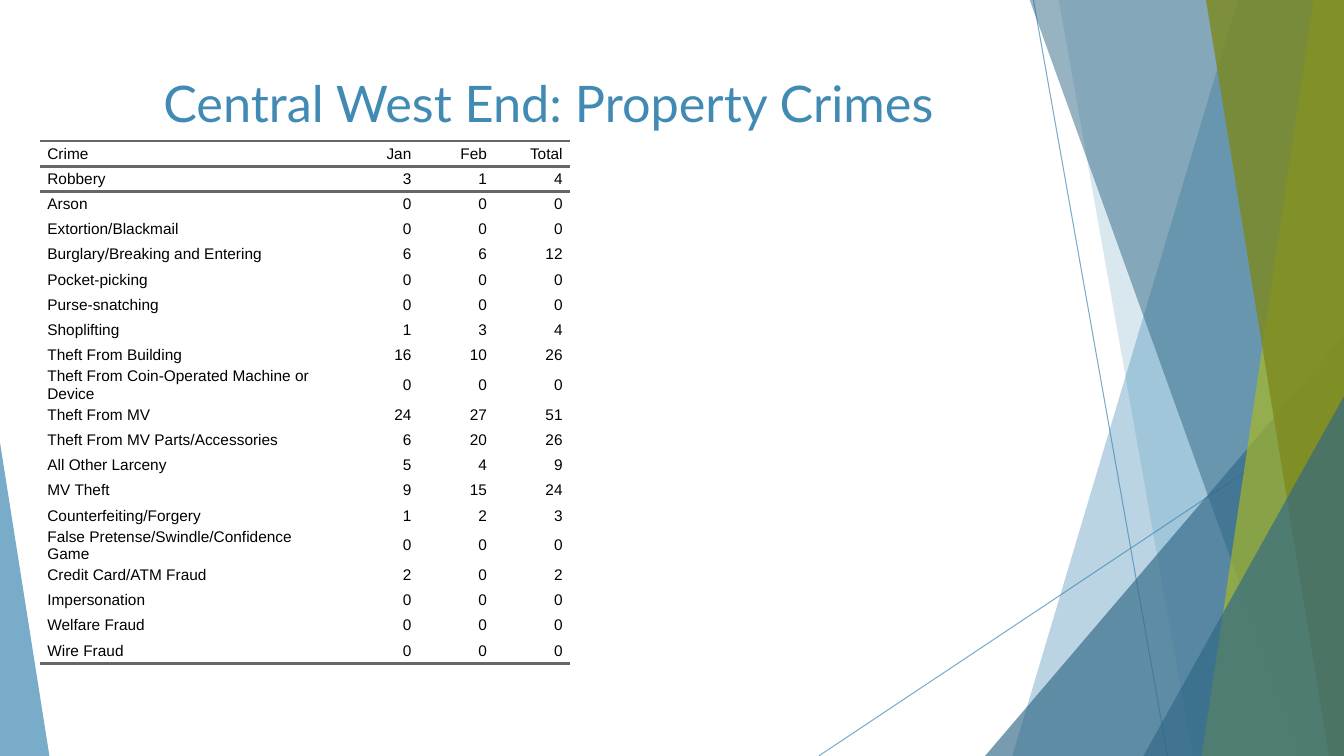
from lxml.etree import SubElement as Sub
from pptx import Presentation
from pptx.dml.color import RGBColor
from pptx.enum.shapes import MSO_CONNECTOR as Link, MSO_SHAPE as Kind
from pptx.enum.text import MSO_ANCHOR as Anchor, PP_ALIGN as Align
from pptx.oxml.ns import qn
from pptx.util import Inches, Pt

BLUE = RGBColor(0x41, 0x8A, 0xB3)
NAVY = RGBColor(0x31, 0x68, 0x86)
LIME = RGBColor(0xA6, 0xB7, 0x27)
OLIVE = RGBColor(0x7D, 0x89, 0x1D)
GRAY = RGBColor(0x66, 0x66, 0x66)
BLACK = RGBColor(0, 0, 0)

WIDE, HIGH = 13.33, 7.5
PLAIN = "{2D5ABB26-0587-4C30-8999-92F81FD0307C}"  # table style: no fill, no grid

CRIMES = [
    ("Robbery", 3, 1, 4),
    ("Arson", 0, 0, 0),
    ("Extortion/Blackmail", 0, 0, 0),
    ("Burglary/Breaking and Entering", 6, 6, 12),
    ("Pocket-picking", 0, 0, 0),
    ("Purse-snatching", 0, 0, 0),
    ("Shoplifting", 1, 3, 4),
    ("Theft From Building", 16, 10, 26),
    ("Theft From Coin-Operated Machine or Device", 0, 0, 0),
    ("Theft From MV", 24, 27, 51),
    ("Theft From MV Parts/Accessories", 6, 20, 26),
    ("All Other Larceny", 5, 4, 9),
    ("MV Theft", 9, 15, 24),
    ("Counterfeiting/Forgery", 1, 2, 3),
    ("False Pretense/Swindle/Confidence Game", 0, 0, 0),
    ("Credit Card/ATM Fraud", 2, 0, 2),
    ("Impersonation", 0, 0, 0),
    ("Welfare Fraud", 0, 0, 0),
    ("Wire Fraud", 0, 0, 0),
]


class Deck:
    """Holds the style and the current slide."""

    head, body = "Lato", "Arial"

    def __init__(self, show):
        """Add a slide with a title placeholder."""
        self.slide = show.slides.add_slide(show.slide_layouts[5])
        self.shapes = self.slide.shapes

    def fade(self, item, alpha):
        """Make the colour of a shape or line see-through."""
        for color in item.element.spPr.iter(qn("a:srgbClr")):
            Sub(color, qn("a:alpha")).set("val", str(alpha * 1000))

    def paint(self, shape, color, alpha):
        """Give a shape a see-through fill and no outline."""
        shape.shadow.inherit = False
        shape.fill.solid()
        shape.fill.fore_color.rgb = color
        shape.line.fill.background()
        self.fade(shape, alpha)

    def line(self, x1, y1, x2, y2):
        """Draw a thin blue line."""
        line = self.shapes.add_connector(
            Link.STRAIGHT, Inches(x1), Inches(y1), Inches(x2), Inches(y2))
        line.line.color.rgb = BLUE
        line.line.width = Pt(0.75)
        self.fade(line, 70)
        Sub(line.element.spPr, qn("a:effectLst"))

    def band(self, top, base, color, alpha):
        """Fill the slide from a slanted left edge to the right side."""
        pen = self.shapes.build_freeform(Inches(top), Inches(-0.01))
        ends = [(WIDE, -0.01), (WIDE, HIGH), (base, HIGH)]
        pen.add_line_segments([(Inches(x), Inches(y)) for x, y in ends])
        self.paint(pen.convert_to_shape(), color, alpha)

    def wedge(self, x, y, width, peak, color, alpha):
        """Draw a triangle that stands on the bottom edge."""
        shape = self.shapes.add_shape(
            Kind.ISOSCELES_TRIANGLE, Inches(x), Inches(y),
            Inches(width), Inches(HIGH - y))
        shape.adjustments[0] = peak
        self.paint(shape, color, alpha)

    def label(self, para, text, font, size, color, align):
        """Add one run of text to a paragraph."""
        para.alignment = align
        run = para.add_run()
        run.text = text
        run.font.name, run.font.size = font, Pt(size)
        run.font.color.rgb = color

    def title(self, text, x, y, width, height):
        """Place and fill the title, in front of the rest."""
        box = self.shapes.title
        box.left, box.top = Inches(x), Inches(y)
        box.width, box.height = Inches(width), Inches(height)
        frame = box.text_frame
        frame.word_wrap = True
        frame.vertical_anchor = Anchor.TOP
        self.label(frame.paragraphs[0], text, self.head, 36, BLUE, Align.CENTER)
        box.element.getparent().append(box.element)

    def rule(self, cell, side):
        """Draw a border on one side of a cell."""
        edge = Sub(cell._tc.get_or_add_tcPr(), qn("a:ln" + side))
        edge.set("w", str(Pt(2)))
        fill = Sub(edge, qn("a:solidFill"))
        Sub(fill, qn("a:srgbClr")).set("val", str(GRAY))

    def table(self, rows, x, y, widths, high):
        """Add a plain table, ruled around its header and at its foot."""
        frame = self.shapes.add_table(
            len(rows), len(widths), Inches(x), Inches(y),
            Inches(sum(widths)), Inches(high * len(rows)))
        table = frame.table
        table.first_row = table.horz_banding = False
        table._tbl.tblPr.find(qn("a:tableStyleId")).text = PLAIN
        for col, width in zip(table.columns, widths):
            col.width = Inches(width)
        sides = {0: "TB", 1: "T", len(rows) - 1: "B"}
        for r, row in enumerate(rows):
            table.rows[r].height = Inches(high)
            for c, value in enumerate(row):
                cell = table.cell(r, c)
                for side in sides.get(r, ""):
                    self.rule(cell, side)
                cell.fill.background()
                cell.vertical_anchor = Anchor.MIDDLE
                cell.margin_left = cell.margin_right = Inches(0.07)
                cell.margin_top = cell.margin_bottom = 0
                self.label(cell.text_frame.paragraphs[0], str(value), self.body,
                           11, BLACK, Align.RIGHT if c else Align.LEFT)


show = Presentation()
show.slide_width, show.slide_height = Inches(WIDE), Inches(HIGH)
deck = Deck(show)

deck.line(10.25, 0, 11.58, HIGH)
deck.line(WIDE, 4.03, 8.12, HIGH)
deck.band(12.28, 10.04, BLUE, 36)
deck.band(10.5, 11.83, BLUE, 20)
deck.wedge(9.77, 3.33, 3.56, 1, NAVY, 66)
deck.band(10.21, 12.91, NAVY, 50)
deck.band(13.03, 11.92, LIME, 70)
deck.band(11.96, 13.18, OLIVE, 80)
deck.wedge(11.34, 3.93, 1.99, 1, NAVY, 66)
deck.wedge(0, 4.39, 0.49, 0, BLUE, 70)

deck.table([("Crime", "Jan", "Feb", "Total")] + CRIMES,
           0.4, 1.4, [3, 0.75, 0.75, 0.75], 0.25)
deck.title("Central West End: Property Crimes", 0.74, 0.67, 9.4, 1.44)

show.save("out.pptx")
